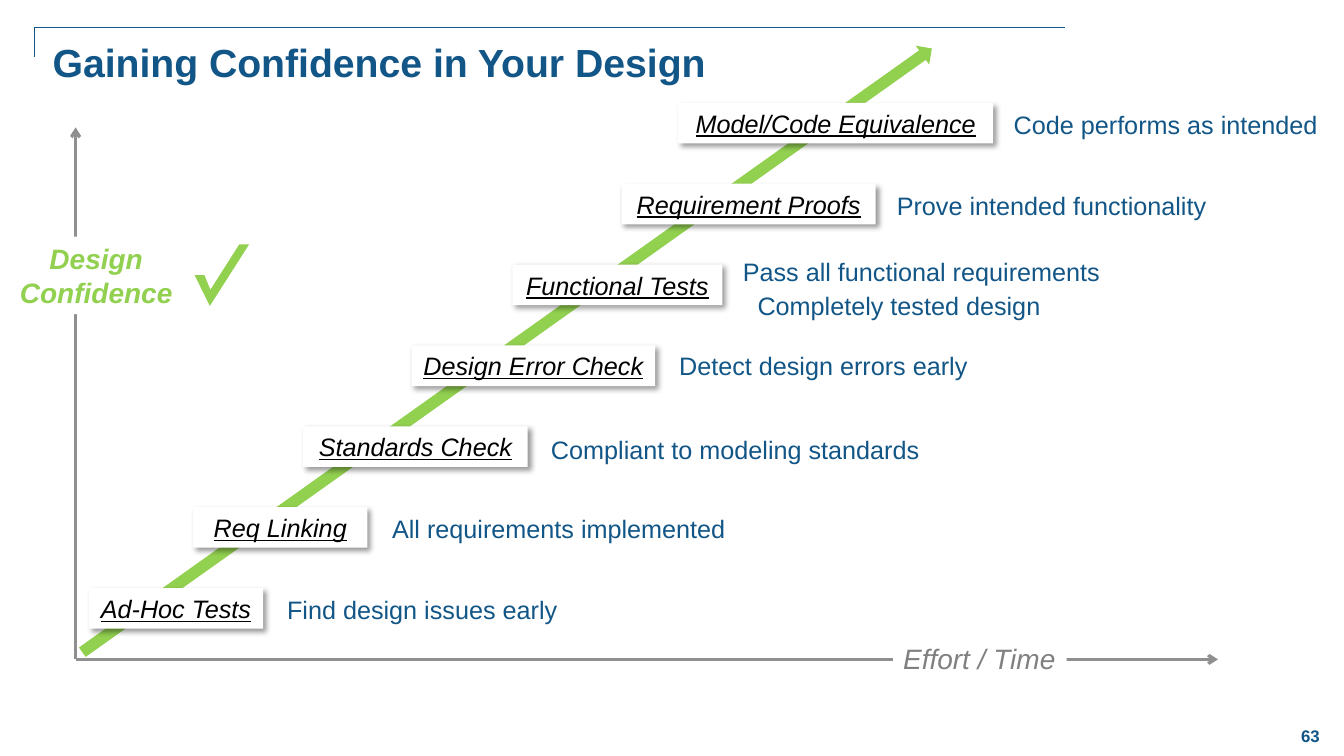
import pptx
import pptx.util
import pptx.dml.color
import pptx.enum.shapes
import pptx.enum.text
import pptx.oxml

Pt = pptx.util.Pt
RGB = pptx.dml.color.RGBColor
SHAPE = pptx.enum.shapes.MSO_SHAPE
ALIGN = pptx.enum.text.PP_ALIGN
ANCHOR = pptx.enum.text.MSO_ANCHOR

BLUE = RGB(0x12, 0x56, 0x87)
GREEN = RGB(0x92, 0xD0, 0x50)
GRAY = RGB(0x80, 0x80, 0x80)
AXIS = RGB(0x8F, 0x8F, 0x8F)
BLACK = RGB(0, 0, 0)
WHITE = RGB(0xFF, 0xFF, 0xFF)

NS = 'xmlns:a="http://schemas.openxmlformats.org/drawingml/2006/main"'
SHADOW = (f'<a:effectLst {NS}><a:outerShdw blurRad="50800" dist="38100" dir="2700000" '
          'algn="tl" rotWithShape="0"><a:srgbClr val="000000"><a:alpha val="40000"/>'
          '</a:srgbClr></a:outerShdw></a:effectLst>')
ROW_STEP = 57.75
ROW_HEIGHT = 29

STEPS = [
    ("Model/Code Equivalence", 484.5, 225, [(717, 1, 238, "Code performs as intended")]),
    ("Requirement Proofs", 444, 181.5, [(633.5, 1, 238, "Prove intended functionality")]),
    ("Functional Tests", 366, 150, [(523.5, -9.5, 288, "Pass all functional requirements"),
                                    (534, 15, 228, "Completely tested design")]),
    ("Design Error Check", 294, 174, [(478, 0, 288, "Detect design errors early")]),
    ("Standards Check", 216.5, 160.5, [(386.5, 2, 288, "Compliant to modeling standards")]),
    ("Req Linking", 138, 124.5, [(273, 1, 297, "All requirements implemented")]),
    ("Ad-Hoc Tests", 63.5, 124.5, [(198, 1, 241, "Find design issues early")]),
]


def append_xml(parent, xml):
    parent.append(pptx.oxml.parse_xml(xml))


def fill_plain(sp, color):
    sp.shadow.inherit = False
    sp.fill.solid()
    sp.fill.fore_color.rgb = color
    sp.line.fill.background()


def add_text(s, box, lines, size, color, align=ALIGN.LEFT, bold=False, italic=False,
             underline=False, wrap=True, anchor=ANCHOR.TOP, fill=None):
    box = [Pt(v) for v in box]
    if fill is None:
        sp = s.shapes.add_textbox(*box)
    else:
        sp = s.shapes.add_shape(SHAPE.RECTANGLE, *box)
        fill_plain(sp, fill)
    tf = sp.text_frame
    tf.word_wrap = wrap
    tf.vertical_anchor = anchor
    tf.text = "\n".join(lines)
    for p in tf.paragraphs:
        p.alignment = align
        p.font.name = "Arial"
        p.font.size = Pt(size)
        p.font.bold = bold
        p.font.italic = italic
        p.font.underline = underline
        p.font.color.rgb = color
    return sp


def add_outline(s, points, close):
    (x, y), *rest = points
    builder = s.shapes.build_freeform(Pt(x), Pt(y))
    builder.add_line_segments([(Pt(px), Pt(py)) for px, py in rest], close=close)
    sp = builder.convert_to_shape()
    sp.shadow.inherit = False
    return sp


def add_axis(s, x1, y1, x2, y2):
    cxn = s.shapes.add_connector(pptx.enum.shapes.MSO_CONNECTOR.STRAIGHT,
                                 Pt(x1), Pt(y1), Pt(x2), Pt(y2))
    cxn.line.color.rgb = AXIS
    cxn.line.width = Pt(2.25)
    append_xml(cxn.line._get_or_add_ln(), f'<a:tailEnd {NS} type="arrow"/>')
    append_xml(cxn._element.spPr, f'<a:effectLst {NS}/>')


def add_frame(s, x, y, w, h):
    corner = add_outline(s, [(x + w, y), (x, y), (x, y + h)], close=False)
    corner.fill.background()
    corner.line.color.rgb = BLUE
    corner.line.width = Pt(1)
    add_text(s, (x + 6, y + 4.5, 848, 78), ["Gaining Confidence in Your Design"],
             28, BLUE, bold=True)


def add_page_number(s, x, y, w, h):
    add_text(s, (x, y, w, h), ["63"], 12, BLUE, ALIGN.CENTER, bold=True, anchor=ANCHOR.MIDDLE)


def add_check_mark(s, x, y, w, h):
    outline = [(0, 0.5), (0.18, 0.5), (0.29, 0.74), (0.82, 0), (1, 0), (0.28, 1)]
    sp = add_outline(s, [(x + w * fx, y + h * fy) for fx, fy in outline], close=True)
    fill_plain(sp, GREEN)


def add_axes(s, x, y, w, h):
    bottom = y + h
    add_axis(s, x, bottom, x + w, bottom)
    add_text(s, (x + 584, bottom - 16.5, 124, 31.5), ["Effort / Time"], 20, GRAY,
             italic=True, wrap=False, fill=WHITE)
    add_axis(s, x, bottom, x, y)
    add_text(s, (x - 47.5, y + 78, 124.5, 55.5), ["Design", "Confidence"], 20, GREEN,
             ALIGN.CENTER, bold=True, italic=True, wrap=False, fill=WHITE)
    add_check_mark(s, x + 85, y + 83.5, 39, 44)


def add_growth_arrow(s, x, y, w, h):
    sp = s.shapes.add_shape(SHAPE.RIGHT_ARROW, Pt(x), Pt(y), Pt(w), Pt(h))
    sp.rotation = 324.6
    fill_plain(sp, GREEN)


def add_steps(s, top):
    for i, (name, x, w, notes) in enumerate(STEPS):
        y = top + i * ROW_STEP
        label = add_text(s, (x, y, w, ROW_HEIGHT), [name], 18, BLACK, ALIGN.CENTER,
                         italic=True, underline=True, anchor=ANCHOR.MIDDLE, fill=WHITE)
        spPr = label._element.spPr
        spPr.remove(spPr.find(pptx.oxml.ns.qn("a:effectLst")))
        append_xml(spPr, SHADOW)
        for note_x, dy, note_w, text in notes:
            add_text(s, (note_x, y + dy, note_w, ROW_HEIGHT), [text], 18, BLUE, fill=WHITE)


def main():
    prs = pptx.Presentation()
    prs.slide_width, prs.slide_height = Pt(960), Pt(540)
    s = prs.slides.add_slide(prs.slide_layouts[6])
    add_frame(s, 24.5, 19.5, 736, 21.5)
    add_page_number(s, 912, 510.5, 48, 30)
    add_axes(s, 54, 91, 816, 380)
    add_growth_arrow(s, -10, 242, 744.5, 16.5)
    add_steps(s, 73.5)
    prs.save("out.pptx")


if __name__ == "__main__":
    main()
